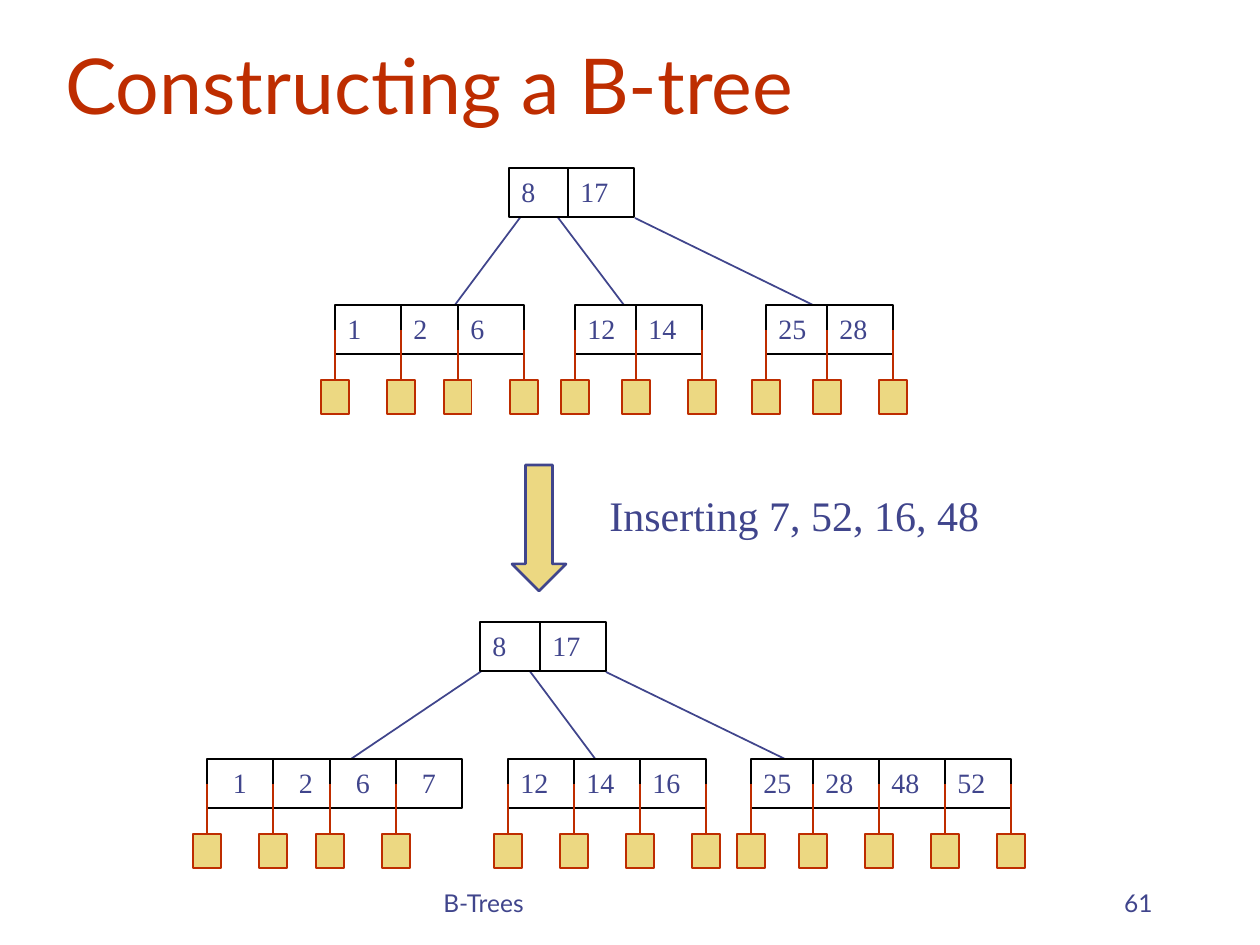
from lxml.etree import SubElement
from pptx import Presentation
from pptx.dml.color import RGBColor
from pptx.enum.shapes import MSO_CONNECTOR, MSO_SHAPE
from pptx.enum.text import MSO_ANCHOR, PP_ALIGN
from pptx.oxml.ns import qn
from pptx.util import Inches, Pt

PX = Inches(1) / 126

INDIGO = RGBColor(0x40, 0x45, 0x8C)
RUST = RGBColor(0xBE, 0x2D, 0x00)
SAND = RGBColor(0xEC, 0xD8, 0x82)
WHITE = RGBColor(0xFF, 0xFF, 0xFF)
BLACK = RGBColor(0x00, 0x00, 0x00)

HEADING = {"name": "Lato", "size": Pt(44)}
FOOTER = {"name": "Lato", "size": Pt(14)}
CAPTION = {"name": "Times New Roman", "size": Pt(24)}
KEY = {"name": "Times New Roman", "size": Pt(16)}

CELL_WIDTH, CELL_HEIGHT = 66, 49
LEAF_WIDTH, LEAF_HEIGHT = 28, 34
# Heights below the top of a tree
NODE_DROP, STUB_DROP, LEAF_DROP = 137, 162, 212

# Nodes list (key, left) pairs; the flag tells if a leaf hangs at the right end
BEFORE = {
    "top": 168,
    "root": [("8", 509), ("17", 568)],
    "edges": [((534, 199), (440, 325)), ((544, 199), (639, 325)),
              ((635, 218), (813, 305))],
    "align": PP_ALIGN.LEFT,
    "nodes": [
        ([("1", 335), ("2", 401), ("6", 458)], True),
        ([("12", 575), ("14", 636)], True),
        ([("25", 766), ("28", 827)], True),
    ],
}
AFTER = {
    "top": 622,
    "root": [("8", 480), ("17", 540)],
    "edges": [((507, 654), (348, 761)), ((517, 654), (611, 780)),
              ((606, 672), (785, 759))],
    "align": PP_ALIGN.CENTER,
    "nodes": [
        ([("1", 207), ("2", 273), ("6", 330), ("7", 396)], False),
        ([("12", 508), ("14", 574), ("16", 640)], True),
        ([("25", 751), ("28", 813), ("48", 879), ("52", 945)], True),
    ],
}


def px(*lengths):
    return [round(length * PX) for length in lengths]


def write(shape, text, font, color, anchor=MSO_ANCHOR.TOP, align=PP_ALIGN.LEFT):
    frame = shape.text_frame
    frame.word_wrap = True
    frame.vertical_anchor = anchor
    paragraph = frame.paragraphs[0]
    paragraph.alignment = align
    run = paragraph.add_run()
    run.text = text
    for attribute, value in font.items():
        setattr(run.font, attribute, value)
    run.font.color.rgb = color


def add_text(slide, box, text, font, color, **layout):
    write(slide.shapes.add_textbox(*px(*box)), text, font, color, **layout)


def add_box(slide, kind, box, fill, line, width):
    shape = slide.shapes.add_shape(kind, *px(*box))
    shape.shadow.inherit = False
    shape.fill.solid()
    shape.fill.fore_color.rgb = fill
    shape.line.color.rgb = line
    shape.line.width = Pt(width)
    return shape


def add_line(slide, start, end, color, width):
    line = slide.shapes.add_connector(MSO_CONNECTOR.STRAIGHT, *px(*start, *end))
    line.line.color.rgb = color
    line.line.width = Pt(width)
    SubElement(line._element.spPr, qn("a:effectLst"))
    return line


def add_node(slide, cells, top, align=PP_ALIGN.LEFT):
    for key, left in cells:
        cell = add_box(slide, MSO_SHAPE.RECTANGLE,
                       (left, top, CELL_WIDTH, CELL_HEIGHT), WHITE, BLACK, 0.75)
        write(cell, key, KEY, INDIGO, align=align)


def add_leaf(slide, center, tree_top):
    top = tree_top + LEAF_DROP
    leaf = add_box(slide, MSO_SHAPE.RECTANGLE,
                   (center - LEAF_WIDTH // 2, top, LEAF_WIDTH, LEAF_HEIGHT),
                   SAND, RUST, 0.75)
    stub = add_line(slide, (center, tree_top + STUB_DROP), (center, top),
                    RUST, 0.75)
    stub.end_connect(leaf, 0)


def add_tree(slide, tree):
    top = tree["top"]
    # Edges lie behind the nodes
    for start, end in tree["edges"]:
        add_line(slide, start, end, INDIGO, 1)
    add_node(slide, tree["root"], top)
    for index, (cells, closed) in enumerate(tree["nodes"]):
        align = tree["align"] if index == 0 else PP_ALIGN.LEFT
        add_node(slide, cells, top + NODE_DROP, align)
        # One leaf at each cell's left side, and one at the end of the node
        centers = [left for _, left in cells]
        if closed:
            centers.append(centers[-1] + CELL_WIDTH)
        for center in centers:
            add_leaf(slide, center, top)


def main():
    presentation = Presentation()
    presentation.slide_width = Inches(10)
    presentation.slide_height = Inches(7.5)
    slide = presentation.slides.add_slide(presentation.slide_layouts[6])

    # Title and footer
    add_text(slide, (53, 0, 1071, 136), "Constructing a B-tree", HEADING, RUST,
             anchor=MSO_ANCHOR.BOTTOM)
    add_text(slide, (431, 861, 399, 63), "B-Trees", FOOTER, INDIGO,
             anchor=MSO_ANCHOR.BOTTOM)
    add_text(slide, (903, 861, 262, 63), "61", FOOTER, INDIGO,
             anchor=MSO_ANCHOR.BOTTOM, align=PP_ALIGN.RIGHT)

    # Trees before and after the insertion
    for tree in (BEFORE, AFTER):
        add_tree(slide, tree)

    # Insertion step
    add_box(slide, MSO_SHAPE.DOWN_ARROW, (512, 465, 54, 126), SAND, INDIGO, 1.5)
    add_text(slide, (597, 483, 504, 63), "Inserting 7, 52, 16, 48", CAPTION,
             INDIGO)

    presentation.save("out.pptx")


if __name__ == "__main__":
    main()
